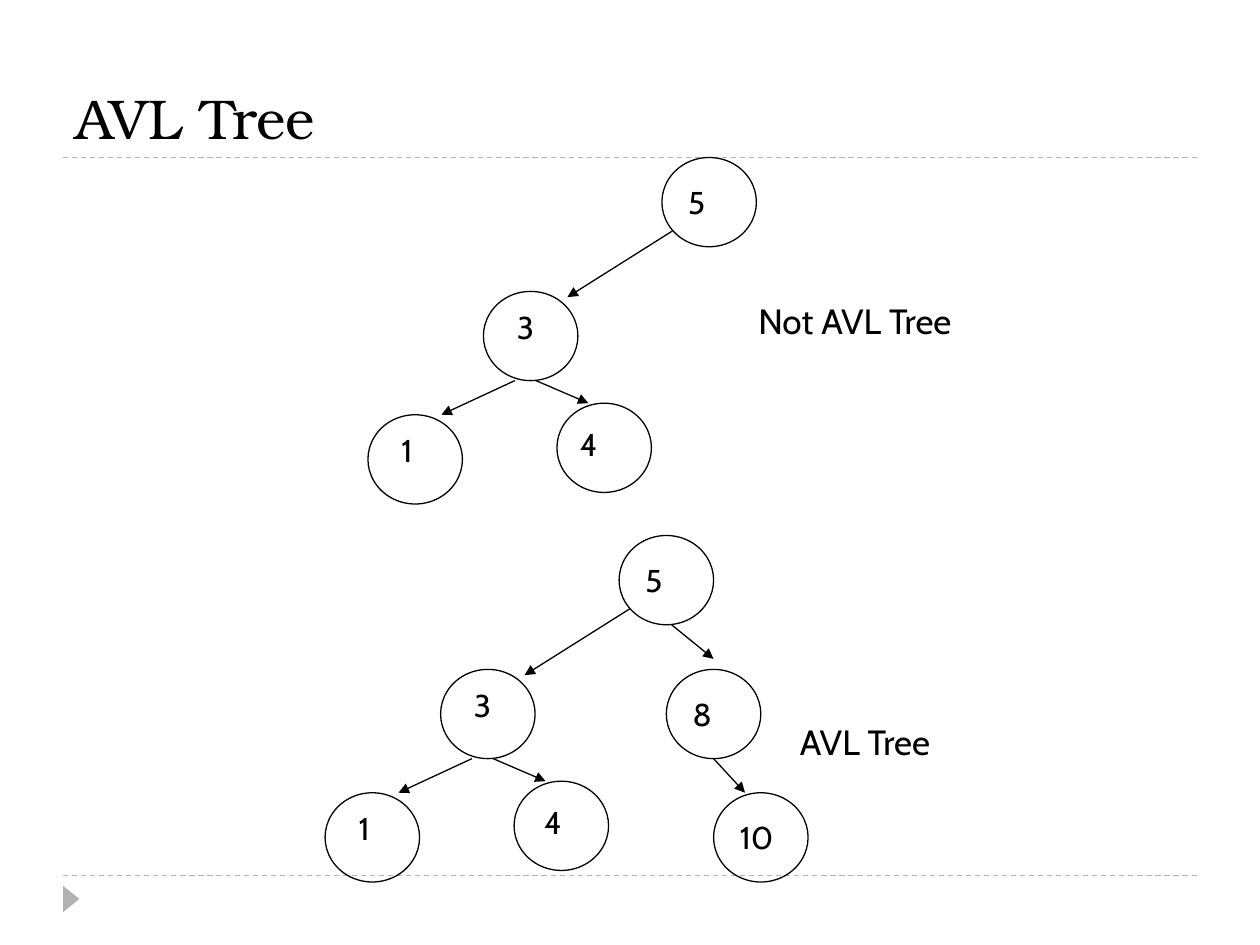
from lxml.etree import SubElement
from pptx import Presentation
from pptx.dml.color import RGBColor
from pptx.enum.dml import MSO_LINE
from pptx.enum.shapes import MSO_CONNECTOR, MSO_SHAPE
from pptx.enum.text import MSO_ANCHOR, MSO_AUTO_SIZE, PP_ALIGN
from pptx.oxml.ns import qn
from pptx.util import Inches, Pt

WIDE, HIGH = 10, 7.5
UNIT = 1 / 12
INK, GREY = "000000", "B2B2B2"
BODY, HEAD = "Cabin", "TeX Gyre Bonum"

CORE = [("5", 28, 0, None), ("3", 11, 12.75, (2, 1)),
        ("1", 0, 24.5, (2, 1))]
LEFT = [(29, 7, 19, 13.3), (14, 21.25, 7, 24.5), (16, 21.25, 21, 23.4)]
RIGHT = [(33, 8.5, 37, 11.75), (37, 21.25, 40, 24.5)]


def paint(code):
    return RGBColor.from_string(code)


def place(x, y, w, h):
    return [Inches(v) for v in (x, y, w, h)]


def write(shape, text, font=BODY, size=18, color=INK, wrap=True,
          anchor=MSO_ANCHOR.TOP, fit=MSO_AUTO_SIZE.NONE):
    frame = shape.text_frame
    frame.word_wrap = wrap
    frame.auto_size = fit
    frame.vertical_anchor = anchor
    para = frame.paragraphs[0]
    para.alignment = PP_ALIGN.LEFT
    run = para.add_run()
    run.text = text
    run.font.name = font
    run.font.size = Pt(size)
    run.font.color.rgb = paint(color)


def label(pool, box, text, size=18):
    write(pool.add_textbox(*place(*box)), text, size=size,
          fit=MSO_AUTO_SIZE.SHAPE_TO_FIT_TEXT)


def stroke(pool, start, end, color=INK, dash=None, arrow=False):
    ends = [Inches(v) for v in (*start, *end)]
    line = pool.add_connector(MSO_CONNECTOR.STRAIGHT, *ends)
    line.line.color.rgb = paint(color)
    line.line.width = Pt(0.75)
    if dash:
        line.line.dash_style = dash
    if arrow:
        SubElement(line.line._get_or_add_ln(), qn("a:tailEnd"), type="triangle")
    SubElement(line._element.spPr, qn("a:effectLst"))


def node(pool, x, y, text, shift):
    disc = pool.add_shape(MSO_SHAPE.OVAL, *place(x, y, 9 * UNIT, 8.5 * UNIT))
    disc.shadow.inherit = False
    disc.fill.background()
    disc.line.color.rgb = paint(INK)
    disc.line.width = Pt(0.75)
    if shift:
        dx, dy = shift
        label(pool, (x + dx * UNIT, y + dy * UNIT, 10 * UNIT, 0.4), text)
    else:
        write(disc, text, wrap=False, anchor=MSO_ANCHOR.MIDDLE)


def tree(pool, left, top, nodes, edges):
    for text, x, y, shift in nodes:
        node(pool, left + x * UNIT, top + y * UNIT, text, shift)
    for x, y, u, v in edges:
        stroke(pool, (left + x * UNIT, top + y * UNIT),
               (left + u * UNIT, top + v * UNIT), arrow=True)


def frame(pool, left, width):
    for y in (6.95, 1.25):
        stroke(pool, (left, y), (left + width, y), GREY, MSO_LINE.DASH)
    mark = pool.add_shape(MSO_SHAPE.ISOSCELES_TRIANGLE,
                          *place(left - 0.04, 7.07, 0.21, 0.13))
    mark.rotation = 90
    mark.shadow.inherit = False
    mark.fill.solid()
    mark.fill.fore_color.rgb = paint(GREY)
    mark.line.fill.background()


def title(shape, box, text):
    shape.left, shape.top, shape.width, shape.height = place(*box)
    write(shape, text, font=HEAD, size=32, anchor=MSO_ANCHOR.BOTTOM)


def main():
    deck = Presentation()
    deck.slide_width, deck.slide_height = Inches(WIDE), Inches(HIGH)
    slide = deck.slides.add_slide(deck.slide_layouts[5])
    pool = slide.shapes
    edge = WIDE / 20
    frame(pool, edge, WIDE - 2 * edge)
    title(pool.title, (edge, 0.25, WIDE - 2 * edge, 1), "AVL Tree")
    full = CORE + [(" 4", 18, 23.4, (1, 1.5)), ("8", 32.5, 12.75, None),
                   ("10", 37, 24.5, None)]
    tree(pool.add_group_shape().shapes, 2.58, 4.25, full, LEFT + RIGHT)
    tree(pool, 2.92, 1.25, CORE + [("4", 18, 23.4, (1, 1.5))], LEFT)
    label(pool, (6.25, 5.67, 2.17, 0.44), "AVL Tree", 20)
    label(pool, (5.92, 2.33, 4.08, 0.44), "Not AVL Tree", 20)
    deck.save("out.pptx")


if __name__ == "__main__":
    main()
